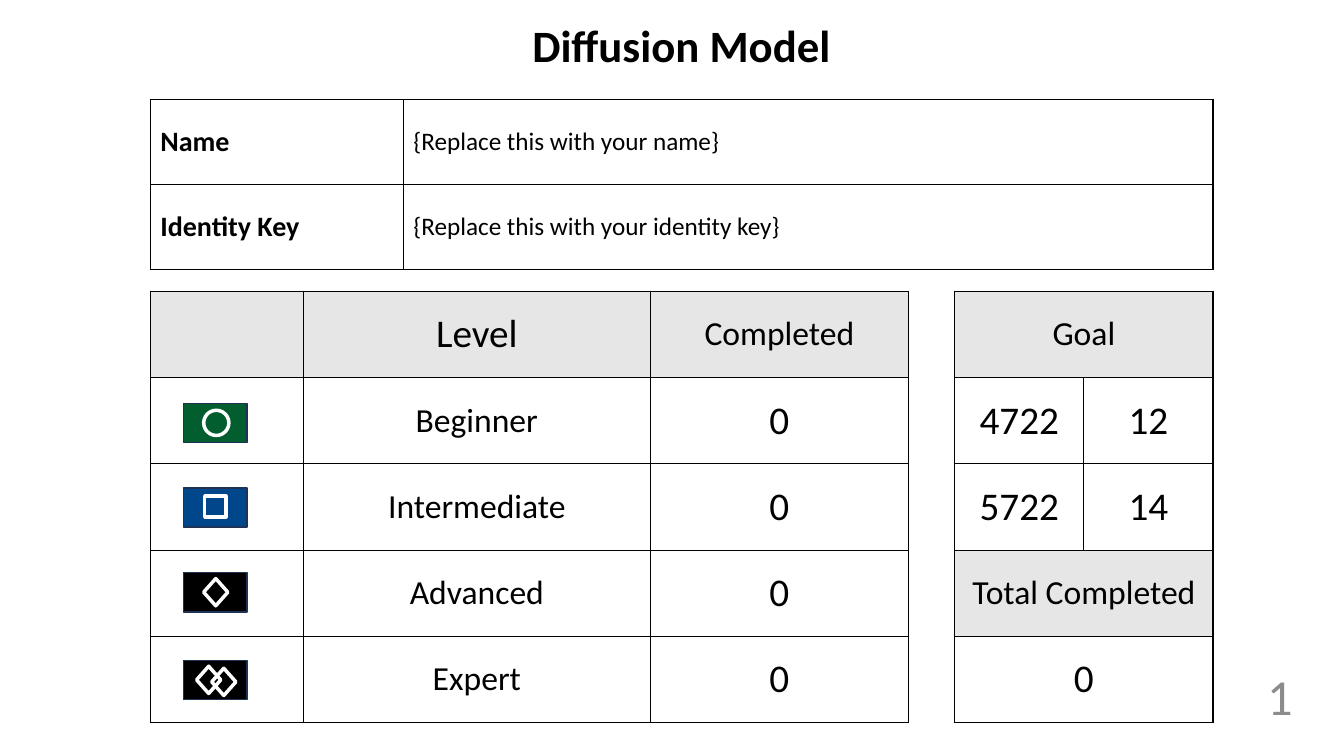
from lxml import etree
from pptx import Presentation
from pptx import util as u
from pptx.dml.color import RGBColor
from pptx.enum import shapes, text
from pptx.oxml import ns

COLORS = {"ink": "000000", "paper": "FFFFFF", "header": "E7E6E6", "edge": "1E3256",
          "green": "035E2F", "blue": "00468B", "black": "000000", "number": "8C8C8C"}
FONT = "Calibri"
LEFT, WIDTH = 1.49, 10.54
SCORE_TOP, SCORE_HEIGHT = 2.89, 4.28
ROW = SCORE_HEIGHT / 5
GOAL_WIDTH = 2.56
GOAL_LEFT = LEFT + WIDTH - GOAL_WIDTH
PLATE_LEFT, PLATE_WIDTH, PLATE_HEIGHT = 1.82, 0.63, 0.39
CENTER, RIGHT = text.PP_ALIGN.CENTER, text.PP_ALIGN.RIGHT
ELLIPSE = shapes.MSO_SHAPE.OVAL
RECT = shapes.MSO_SHAPE.RECTANGLE
DIAMOND = shapes.MSO_SHAPE.DIAMOND


def rgb(name):
    return RGBColor.from_string(COLORS[name])


def inches(*lengths):
    return [u.Inches(length) for length in lengths]


def write(tf, words, size, color="ink", bold=False, align=None):
    p = tf.paragraphs[0]
    p.text = words
    p.alignment = align
    p.font.name = FONT
    p.font.size = u.Pt(size)
    p.font.bold = bold
    p.font.color.rgb = rgb(color)


def add_borders(cell):
    tc_pr = cell._tc.get_or_add_tcPr()
    for i, side in enumerate(("lnL", "lnR", "lnT", "lnB")):
        ln = etree.Element(ns.qn(f"a:{side}"), w=str(u.Pt(1)))
        fill = etree.SubElement(ln, ns.qn("a:solidFill"))
        etree.SubElement(fill, ns.qn("a:srgbClr"), val=COLORS["ink"])
        tc_pr.insert(i, ln)


def add_grid(slide, left, top, columns, row_height, rows, header=True, align=CENTER):
    box = inches(left, top, sum(columns), row_height * len(rows))
    table = slide.shapes.add_table(len(rows), len(columns), *box).table
    table.first_row = table.horz_banding = False
    for column, width in zip(table.columns, columns):
        column.width = u.Inches(width)
    for i, entries in enumerate(rows):
        table.rows[i].height = u.Inches(row_height)
        for j, (words, size, *bold) in enumerate(entries):
            cell = table.cell(i, j)
            cell.vertical_anchor = text.MSO_ANCHOR.MIDDLE
            if header and i == 0:
                cell.fill.solid()
                cell.fill.fore_color.rgb = rgb("header")
            else:
                cell.fill.background()
            add_borders(cell)
            write(cell.text_frame, words, size, bold=bool(bold), align=align)
    return table


def add_label(slide, box, words, size, anchor=text.MSO_ANCHOR.TOP, **style):
    tf = slide.shapes.add_textbox(*inches(*box)).text_frame
    tf.word_wrap = True
    tf.vertical_anchor = anchor
    write(tf, words, size, **style)


def add_figure(slide, kind, box, fill, line, weight):
    sp = slide.shapes.add_shape(kind, *inches(*box))
    sp.shadow.inherit = False
    if fill:
        sp.fill.solid()
        sp.fill.fore_color.rgb = rgb(fill)
    else:
        sp.fill.background()
    sp.line.color.rgb = rgb(line)
    sp.line.width = u.Pt(weight)


def add_sign(slide, left, top, color, marks):
    plate = (left, top, PLATE_WIDTH, PLATE_HEIGHT)
    add_figure(slide, RECT, plate, color, "edge", 1)
    for i, (kind, dx, dy, width, height) in enumerate(marks):
        box = (left + dx, top + dy, width, height)
        add_figure(slide, kind, box, None if i else color, "paper", 2.5)


def add_identity(slide, left, top, width):
    rows = [[("Name", 20, True), ("{Replace this with your name}", 18)],
            [("Identity Key", 20, True), ("{Replace this with your identity key}", 18)]]
    add_grid(slide, left, top, (2.51, width - 2.51), 0.84, rows, header=False, align=None)


def add_levels(slide, left, top):
    levels = ("Beginner", "Intermediate", "Advanced", "Expert")
    rows = [[("", 18), ("Level", 28), ("Completed", 24)]]
    rows += [[("", 18), (level, 24), ("0", 28)] for level in levels]
    add_grid(slide, left, top, (1.52, 3.44, 2.56), ROW, rows)
    signs = [(4.0, "green", [(ELLIPSE, 0.2, 0.07, 0.25, 0.25)]),
             (4.84, "blue", [(RECT, 0.21, 0.08, 0.21, 0.21)]),
             (5.68, "black", [(DIAMOND, 0.2, 0.06, 0.24, 0.27)]),
             (6.55, "black", [(DIAMOND, 0.13, 0.06, 0.24, 0.27),
                              (DIAMOND, 0.28, 0.08, 0.24, 0.27)])]
    for sign_top, color, marks in signs:
        add_sign(slide, PLATE_LEFT, sign_top, color, marks)


def add_goals(slide, left, top, width):
    rows = [[("Goal", 24), ("", 24)],
            [("4722", 28), ("12", 28)],
            [("5722", 28), ("14", 28)]]
    table = add_grid(slide, left, top, (width / 2, width / 2), ROW, rows)
    table.cell(0, 0).merge(table.cell(0, 1))
    total = [[("Total Completed", 24)], [("0", 28)]]
    add_grid(slide, left, top + ROW * len(rows), (width,), ROW, total)


def main():
    prs = Presentation()
    prs.slide_width, prs.slide_height = inches(13.33, 7.5)
    slide = prs.slides.add_slide(prs.slide_layouts[6])
    add_label(slide, (LEFT, 0.13, WIDTH, 0.64), "Diffusion Model", 32,
              bold=True, align=CENTER)
    add_identity(slide, LEFT, 0.99, WIDTH)
    add_levels(slide, LEFT, SCORE_TOP)
    add_goals(slide, GOAL_LEFT, SCORE_TOP, GOAL_WIDTH)
    add_label(slide, (11.67, 6.47, 1.25, 0.86), "1", 36, text.MSO_ANCHOR.MIDDLE,
              color="number", align=RIGHT)
    prs.save("out.pptx")


if __name__ == "__main__":
    main()
